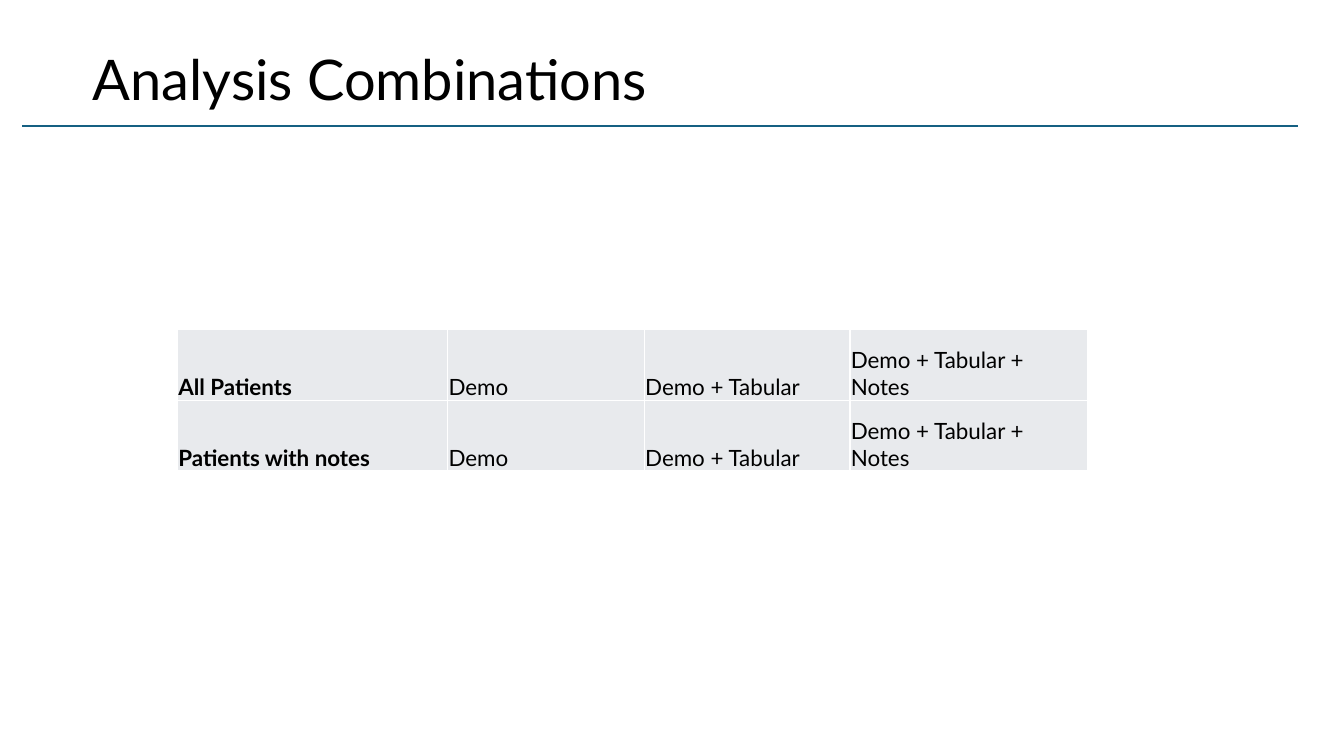
from dataclasses import dataclass

from lxml.etree import SubElement
from pptx import Presentation
from pptx.dml.color import RGBColor
from pptx.enum.shapes import MSO_CONNECTOR as Connector
from pptx.enum.text import MSO_ANCHOR as Anchor, MSO_AUTO_SIZE as AutoSize, PP_ALIGN as Align
from pptx.oxml.ns import qn
from pptx.util import Pt

PX = 9144  # EMU per px, 100 px to the inch


@dataclass(frozen=True)
class Theme:
    font: str = "Lato"
    ink: str = "000000"
    rule: str = "156082"
    cell: str = "E8EAED"
    border: str = "FFFFFF"
    title_size: int = 40
    table_size: int = 16
    rule_width: float = 1.5
    border_width: int = 1


def px(length):
    return length * PX


def write(frame, text, *, font, size, color, bold=False, anchor=Anchor.BOTTOM, spacing=None):
    frame.word_wrap = True
    frame.vertical_anchor = anchor
    para = frame.paragraphs[0]
    para.alignment = Align.LEFT
    para.line_spacing = spacing
    span = para.add_run()
    span.text = text
    span.font.name = font
    span.font.size = Pt(size)
    span.font.bold = bold
    span.font.color.rgb = RGBColor.from_string(color)


class SlideBuilder:
    def __init__(self, page, theme):
        self.page = page
        self.theme = theme

    def title(self, text, left, top, width, height):
        box = self.page.shapes.title
        box.left, box.top, box.width, box.height = map(px, (left, top, width, height))
        box.text_frame.auto_size = AutoSize.NONE
        write(box.text_frame, text, font=self.theme.font, size=self.theme.title_size,
              color=self.theme.ink, spacing=0.9)

    def rule(self, left, right, y):
        line = self.page.shapes.add_connector(
            Connector.STRAIGHT, px(left), px(y), px(right), px(y))
        line.line.color.rgb = RGBColor.from_string(self.theme.rule)
        line.line.width = Pt(self.theme.rule_width)
        SubElement(line._element.spPr, qn("a:effectLst"))

    def table(self, rows, left, top, widths, row_height):
        table = self.page.shapes.add_table(
            len(rows), len(widths), px(left), px(top),
            px(sum(widths)), px(row_height * len(rows))).table
        table.first_row = table.horz_banding = False
        for column, width in zip(table.columns, widths):
            column.width = px(width)
        for row, texts in zip(table.rows, rows):
            row.height = px(row_height)
            for index, (cell, text) in enumerate(zip(row.cells, texts)):
                self.cell(cell, text, bold=index == 0)

    def cell(self, cell, text, bold):
        cell.margin_left = cell.margin_top = cell.margin_right = px(1)
        cell.margin_bottom = 0
        cell.vertical_anchor = Anchor.BOTTOM
        self.borders(cell)
        cell.fill.solid()
        cell.fill.fore_color.rgb = RGBColor.from_string(self.theme.cell)
        write(cell.text_frame, text, font=self.theme.font, size=self.theme.table_size,
              color=self.theme.ink, bold=bold)

    def borders(self, cell):
        properties = cell._tc.get_or_add_tcPr()
        for side in "LRTB":
            edge = SubElement(properties, qn(f"a:ln{side}"), w=str(Pt(self.theme.border_width)))
            fill = SubElement(edge, qn("a:solidFill"))
            SubElement(fill, qn("a:srgbClr"), val=self.theme.border)


def main():
    deck = Presentation()
    deck.slide_width, deck.slide_height = px(1333), px(750)
    page = deck.slides.add_slide(deck.slide_layouts.get_by_name("Title Only"))
    builder = SlideBuilder(page, Theme())

    builder.title("Analysis Combinations", 82, 19, 1015, 98)
    builder.rule(22, 1287, 125)
    combinations = ["Demo", "Demo + Tabular", "Demo + Tabular + Notes"]
    groups = ["All Patients", "Patients with notes"]
    builder.table([[group, *combinations] for group in groups],
                  176, 327, widths=[268, 195, 204, 236], row_height=70)

    deck.save("out.pptx")


if __name__ == "__main__":
    main()
